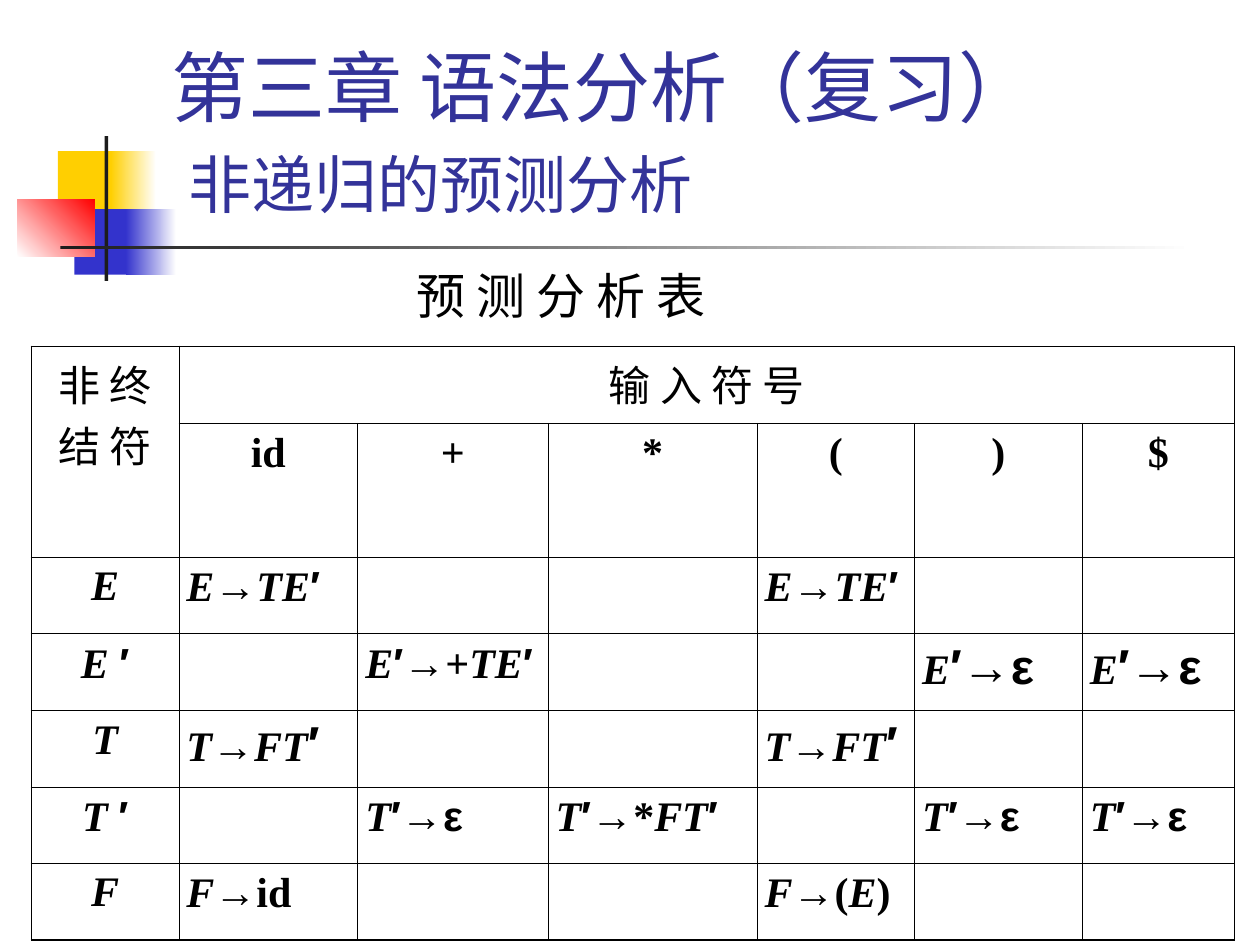
from itertools import groupby

from lxml.etree import SubElement
from pptx import Presentation
from pptx.dml.color import RGBColor
from pptx.enum.shapes import MSO_SHAPE
from pptx.enum.text import MSO_ANCHOR, PP_ALIGN
from pptx.oxml import parse_xml
from pptx.oxml.ns import nsdecls, qn
from pptx.util import Inches, Pt

SERIF = "Times New Roman"
COLUMN_WIDTHS = [1.17, 1.42, 1.51, 1.66, 1.25, 1.33, 1.21]
ROW_HEIGHTS = [0.61, 1.06, 0.61, 0.61, 0.61, 0.6, 0.61]
PARSING_TABLE = [
    ["非 终结 符", "输 入 符 号", "", "", "", "", ""],
    ["", "id", "+", "*", "(", ")", "$"],
    ["E", "E→TE′", "", "", "E→TE′", "", ""],
    ["E ′", "", "E′→+TE′", "", "", "E′→ε", "E′→ε"],
    ["T", "T→FT′", "", "", "T→FT′", "", ""],
    ["T ′", "", "T′→ε", "T′→*FT′", "", "T′→ε", "T′→ε"],
    ["F", "F→id", "", "", "F→(E)", "", ""],
]
LARGE_SYMBOLS = {("E ′", 5): "′→ε", ("E ′", 6): "′→ε", ("T", 1): "′", ("T", 4): "′"}


def color(value):
    return RGBColor.from_string(value)


def style(span, size, name, value="000000", bold=False, italic=False):
    font = span.font
    font.size, font.name = Pt(size), name
    font.bold, font.italic = bold, italic
    font.color.rgb = color(value)


def add_block(page, place, start, end=None, angle=0):
    block = page.shapes.add_shape(MSO_SHAPE.RECTANGLE, *map(Inches, place))
    block.shadow.inherit = False
    block.line.fill.background()
    if end is None:
        block.fill.solid()
        block.fill.fore_color.rgb = color(start)
        return
    block.fill.gradient()
    block.fill.gradient_angle = angle
    for stop, value in zip(block.fill.gradient_stops, (start, end)):
        stop.color.rgb = color(value)


def add_decoration(page):
    add_block(page, (0.46, 1.2, 0.48, 0.52), "FFCF01")
    add_block(page, (0.88, 1.2, 0.36, 0.52), "FFCF01", "FFFFFF")
    add_block(page, (0.59, 1.66, 0.46, 0.52), "3333CC")
    add_block(page, (1, 1.66, 0.4, 0.52), "3333CC", "FFFFFF")
    add_block(page, (0.14, 1.58, 0.61, 0.46), "FFFFFF", "FF0000", 45)
    add_block(page, (0.83, 1.08, 0.03, 1.15), "1C1C1C")
    add_block(page, (0.48, 1.95, 9, 0.03), "1C1C1C", "FFFFFF")


def add_title(page):
    box = page.shapes.add_textbox(*map(Inches, (1.26, 0.23, 8.52, 1.6)))
    frame = box.text_frame
    frame.word_wrap = True
    frame.vertical_anchor = MSO_ANCHOR.BOTTOM
    frame.text = "第三章 语法分析（复习）\v "
    paragraph = frame.paragraphs[0]
    for span in paragraph.runs:
        style(span, 44, "Cabin", "333399")
    subtitle = paragraph.add_run()
    subtitle.text = "非递归的预测分析"
    style(subtitle, 36, "Cabin", "333399")


def add_caption(page):
    box = page.shapes.add_textbox(*map(Inches, (3.25, 2.08, 3.33, 0.53)))
    frame = box.text_frame
    frame.word_wrap = True
    frame.margin_left = frame.margin_right = Inches(0.06)
    frame.margin_top = frame.margin_bottom = Inches(0.03)
    frame.text = "预 测 分 析 表"
    paragraph = frame.paragraphs[0]
    paragraph.alignment = PP_ALIGN.JUSTIFY
    style(paragraph.runs[0], 28, SERIF)


def draw_borders(cell, row, column):
    outer = {
        "L": column == 0,
        "R": column + cell.span_width == len(COLUMN_WIDTHS),
        "T": row == 0,
        "B": row + cell.span_height == len(ROW_HEIGHTS),
    }
    properties = cell._tc.get_or_add_tcPr()
    for index, (side, is_outer) in enumerate(outer.items()):
        line = parse_xml(f"<a:ln{side} {nsdecls('a')}/>")
        line.set("w", str(Pt(1.08 if is_outer else 0.45)))
        fill = SubElement(line, qn("a:solidFill"))
        SubElement(fill, qn("a:srgbClr")).set("val", "000000")
        properties.insert(index, line)


def symbol_kind(character, large):
    is_symbol = character in "′→ε"
    is_italic = character.isupper() or character == " "
    return (28 if character in large else 24, "Arial" if is_symbol else SERIF, is_italic)


def write_symbols(paragraph, text, large):
    for (size, name, italic), part in groupby(text, lambda c: symbol_kind(c, large)):
        span = paragraph.add_run()
        span.text = "".join(part)
        style(span, size, name, bold=True, italic=italic)


def fill_cell(cell, text, row, column):
    cell.margin_left = cell.margin_right = Inches(0.06)
    cell.margin_top = cell.margin_bottom = Inches(0.05)
    cell.fill.background()
    draw_borders(cell, row, column)
    if not text:
        return
    paragraph = cell.text_frame.paragraphs[0]
    if row < 2 or column == 0:
        paragraph.alignment = PP_ALIGN.CENTER
    if row == 0:
        paragraph.text = text
        style(paragraph.runs[0], 24, SERIF)
    else:
        large = LARGE_SYMBOLS.get((PARSING_TABLE[row][0], column), "")
        write_symbols(paragraph, text, large)


def add_parsing_table(page):
    frame = page.shapes.add_table(
        len(ROW_HEIGHTS), len(COLUMN_WIDTHS), Inches(0.25), Inches(2.75),
        Inches(sum(COLUMN_WIDTHS)), Inches(sum(ROW_HEIGHTS)))
    table = frame.table
    table.first_row = table.horz_banding = False
    for column, width in zip(table.columns, COLUMN_WIDTHS):
        column.width = Inches(width)
    for row, height in zip(table.rows, ROW_HEIGHTS):
        row.height = Inches(height)
    table.cell(0, 0).merge(table.cell(1, 0))
    table.cell(0, 1).merge(table.cell(0, 6))
    for row, texts in enumerate(PARSING_TABLE):
        for column, text in enumerate(texts):
            fill_cell(table.cell(row, column), text, row, column)


def main():
    deck = Presentation()
    deck.slide_width, deck.slide_height = Inches(10), Inches(7.5)
    page = deck.slides.add_slide(deck.slide_layouts[6])
    add_decoration(page)
    add_title(page)
    add_parsing_table(page)
    add_caption(page)
    deck.save("out.pptx")


if __name__ == "__main__":
    main()
